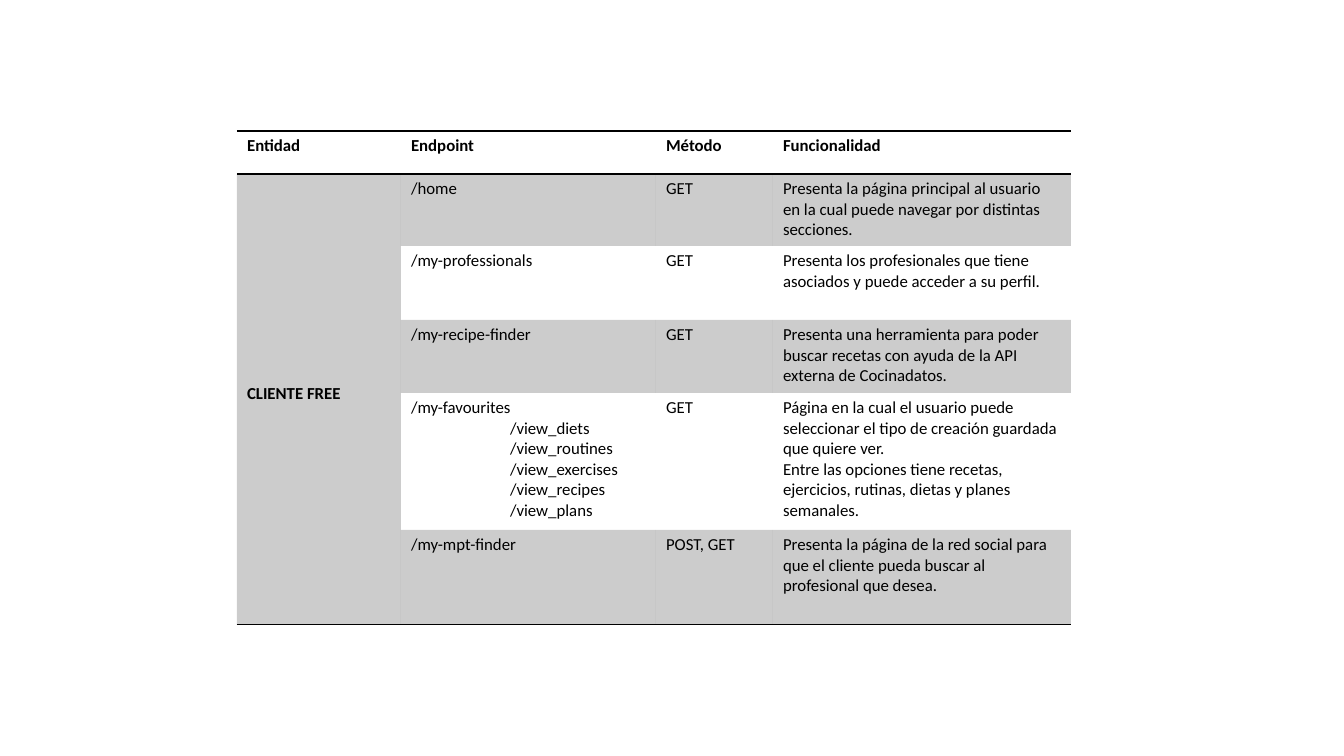
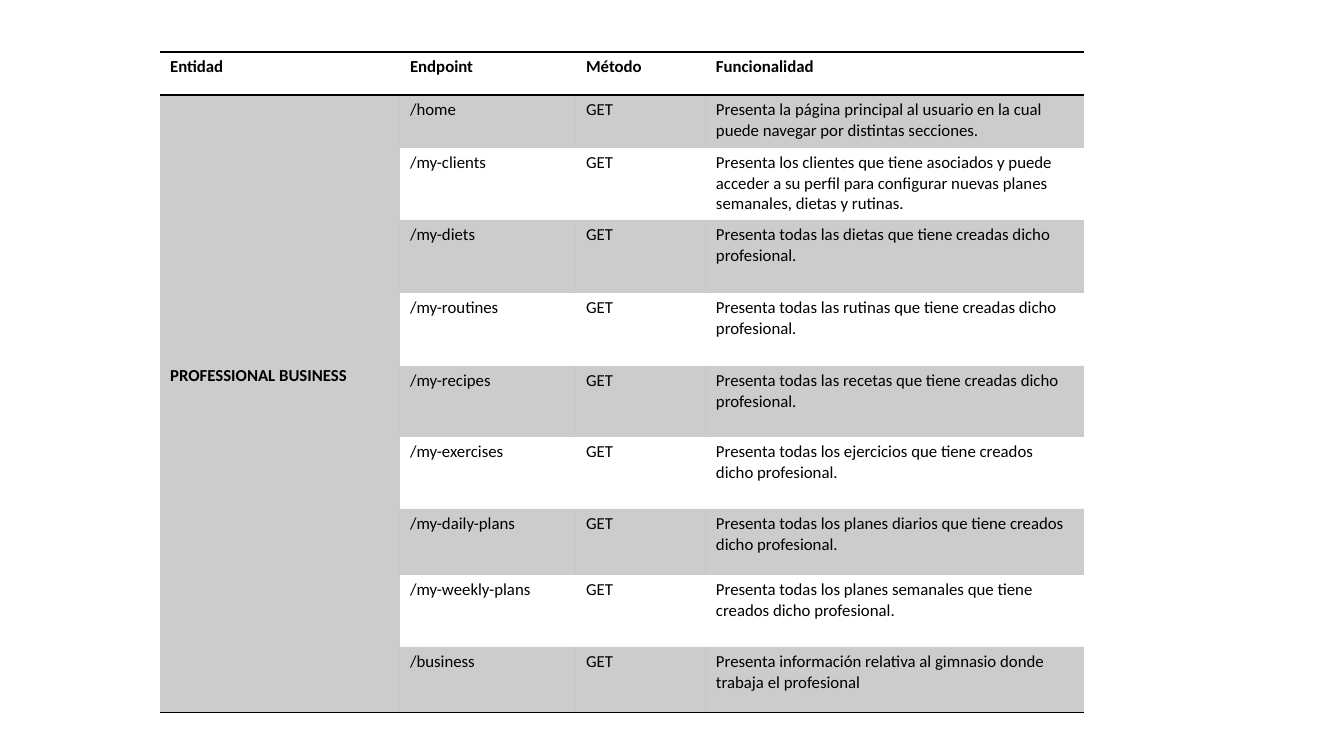
from lxml import etree
from pptx import Presentation
from pptx import util as u
from pptx.dml.color import RGBColor
from pptx.oxml.ns import qn

PX = 12192000 / 1344
FONT = "Calibri"
BLACK = "000000"
BAND_ALPHA = 20
SUBPATH_INDENT = 99
PLAIN_TABLE_STYLE = "{2D5ABB26-0587-4C30-8999-92F81FD0307C}"
HEADINGS = ("Entidad", "Endpoint", "Método", "Funcionalidad")


def px(length):
    return u.Emu(round(length * PX))


def format_cell(cell, text=None, bold=False, indent=0, band=False, borders=()):
    """Write text (indent applies after its first line), band fill and rules.

    Borders name the ruled edges: "B" for bottom, "T" for top, in that order.
    """
    if text is not None:
        cell.text_frame.text = text
        for number, para in enumerate(cell.text_frame.paragraphs):
            if indent and number:
                para._p.get_or_add_pPr().set("marL", str(px(indent)))
            para.font.name = FONT
            para.font.size = u.Pt(12)
            para.font.bold = bold
            para.font.color.rgb = RGBColor.from_string(BLACK)
    if band:
        cell.fill.solid()
        cell.fill.fore_color.rgb = RGBColor.from_string(BLACK)
        color = cell._tc.tcPr.find(qn("a:solidFill"))[0]
        etree.SubElement(color, qn("a:alpha"), val=str(BAND_ALPHA * 1000))
    else:
        cell.fill.background()
    for edge in borders:
        line = etree.Element(qn(f"a:ln{edge}"), w=str(u.Pt(1)))
        solid = etree.SubElement(line, qn("a:solidFill"))
        etree.SubElement(solid, qn("a:srgbClr"), val=BLACK)
        cell._tc.tcPr.insert(0, line)


tables = [
    dict(
        entity="CLIENTE FREE", left=237, top=131, entity_offset=210,
        widths=(164, 255, 117, 298),
        heights=(43, 72, 74, 73, 137, 95),
        endpoints=[
            ("/home", "GET",
             "Presenta la página principal al usuario en la cual puede "
             "navegar por distintas secciones."),
            ("/my-professionals", "GET",
             "Presenta los profesionales que tiene asociados y puede "
             "acceder a su perfil."),
            ("/my-recipe-finder", "GET",
             "Presenta una herramienta para poder buscar recetas con ayuda "
             "de la API externa de Cocinadatos."),
            ("/my-favourites\n/view_diets\n/view_routines\n/view_exercises\n"
             "/view_recipes\n/view_plans", "GET",
             "Página en la cual el usuario puede seleccionar el tipo de "
             "creación guardada que quiere ver.\n"
             "Entre las opciones tiene recetas, ejercicios, rutinas, dietas "
             "y planes semanales."),
            ("/my-mpt-finder", "POST, GET",
             "Presenta la página de la red social para que el cliente pueda "
             "buscar al profesional que desea."),
        ],
    ),
    dict(
        entity="PROFESSIONAL BUSINESS", left=160, top=52, entity_offset=271,
        widths=(240, 176, 130, 378),
        heights=(43, 53, 72, 73, 73, 71, 72, 66, 72, 66),
        endpoints=[
            ("/home", "GET",
             "Presenta la página principal al usuario en la cual puede "
             "navegar por distintas secciones."),
            ("/my-clients", "GET",
             "Presenta los clientes que tiene asociados y puede acceder a su "
             "perfil para configurar nuevas planes semanales, dietas y "
             "rutinas."),
            ("/my-diets", "GET",
             "Presenta todas las dietas que tiene creadas dicho profesional."),
            ("/my-routines", "GET",
             "Presenta todas las rutinas que tiene creadas dicho profesional."),
            ("/my-recipes", "GET",
             "Presenta todas las recetas que tiene creadas dicho profesional."),
            ("/my-exercises", "GET",
             "Presenta todas los ejercicios que tiene creados dicho "
             "profesional."),
            ("/my-daily-plans", "GET",
             "Presenta todas los planes diarios que tiene creados dicho "
             "profesional."),
            ("/my-weekly-plans", "GET",
             "Presenta todas los planes semanales que tiene creados dicho "
             "profesional."),
            ("/business", "GET",
             "Presenta información relativa al gimnasio donde trabaja el "
             "profesional"),
        ],
    ),
]

deck = Presentation()
deck.slide_width, deck.slide_height = px(1344), px(756)

for data in tables:
    page = deck.slides.add_slide(deck.slide_layouts[6])
    widths, heights = data["widths"], data["heights"]
    frame = page.shapes.add_table(
        len(heights), len(widths), px(data["left"]), px(data["top"]),
        px(sum(widths)), px(sum(heights)))
    table = frame.table
    table._tbl.tblPr.find(qn("a:tableStyleId")).text = PLAIN_TABLE_STYLE
    for column, width in zip(table.columns, widths):
        column.width = px(width)
    for row, height in zip(table.rows, heights):
        row.height = px(height)

    for col, heading in enumerate(HEADINGS):
        format_cell(table.cell(0, col), heading, bold=True, borders="BT")

    last = len(heights) - 1
    entity = table.cell(1, 0)
    entity.merge(table.cell(last, 0))
    format_cell(entity, data["entity"], bold=True, band=True, borders="B")
    entity.margin_top = px(data["entity_offset"])
    format_cell(table.cell(last, 0), band=True, borders="B")

    for row, values in enumerate(data["endpoints"], start=1):
        for col, value in enumerate(values, start=1):
            format_cell(table.cell(row, col), value,
                        indent=SUBPATH_INDENT if col == 1 else 0,
                        band=row % 2 == 1,
                        borders="B" if row == last else "")

deck.save("out.pptx")
